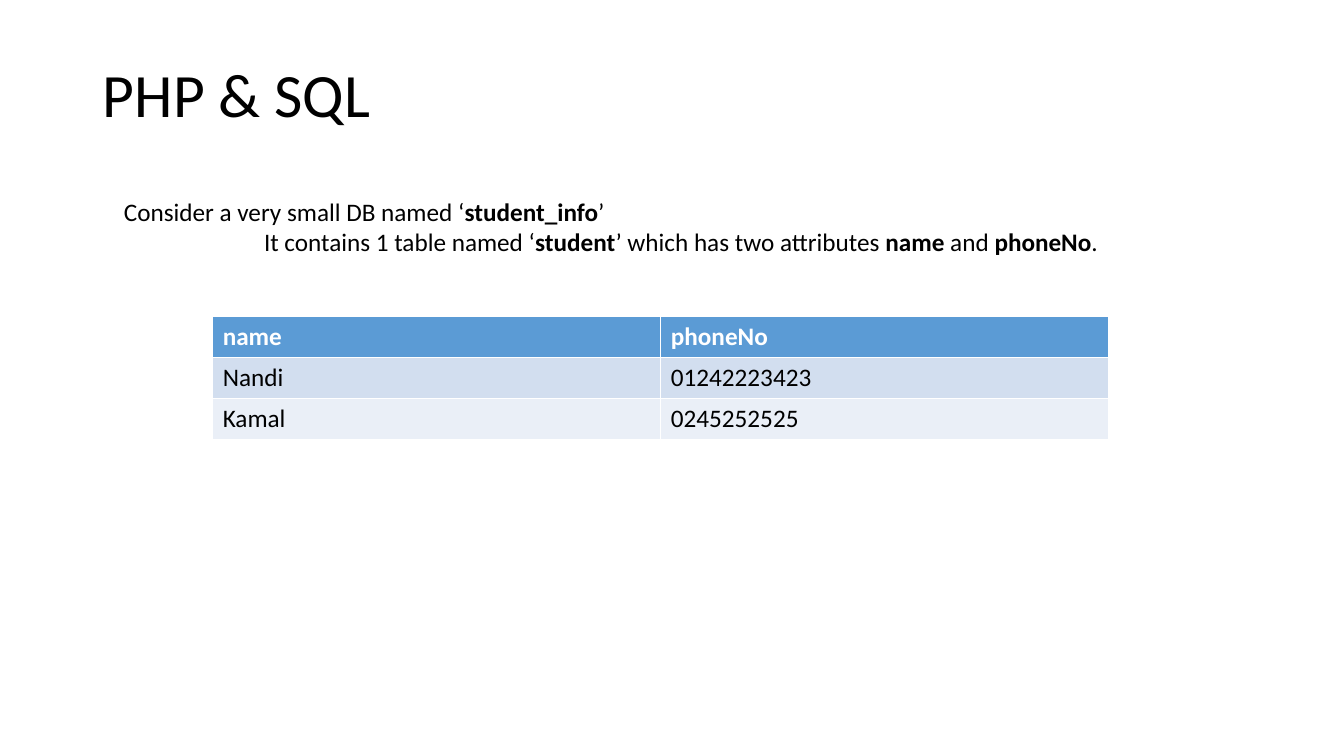
from pptx import Presentation
from pptx.dml.color import RGBColor
from pptx.enum.text import MSO_ANCHOR, PP_ALIGN
from pptx.util import Inches, Pt

BLACK, WHITE = "000000", "FFFFFF"
HEADER_FILL = "5B9BD5"
BAND_FILLS = ["D2DEEF", "EAEFF7"]
INTRO = [
    (0, [("Consider a very small DB named ‘", False), ("student_info", True), ("’", False)]),
    (1.39, [("It contains 1 table named ‘", False), ("student", True),
            ("’ which has two attributes ", False), ("name", True),
            (" and ", False), ("phoneNo", True), (".", False)]),
]
STUDENTS = [
    ("name", "phoneNo"),
    ("Nandi", "01242223423"),
    ("Kamal", "0245252525"),
]


def color(value):
    return RGBColor.from_string(value)


def add_span(para, text, size=18, bold=False, ink=BLACK):
    span = para.add_run()
    span.text = text
    span.font.color.rgb = color(ink)
    for name, value in {"name": "Calibri", "size": Pt(size), "bold": bold}.items():
        setattr(span.font, name, value)


def place_title(page, left, top, width, height):
    title = page.shapes.title
    places = {"left": left, "top": top, "width": width, "height": height}
    for name, value in places.items():
        setattr(title, name, Inches(value))
    title.text_frame.vertical_anchor = MSO_ANCHOR.MIDDLE
    para = title.text_frame.paragraphs[0]
    for name, value in {"alignment": PP_ALIGN.LEFT, "line_spacing": 0.9}.items():
        setattr(para, name, value)
    add_span(para, "PHP & SQL", size=44)


def add_intro(page, left, top, width, height):
    box = page.shapes.add_textbox(*map(Inches, (left, top, width, height)))
    frame = box.text_frame
    frame.word_wrap = True
    for index, (indent, spans) in enumerate(INTRO):
        para = frame.add_paragraph() if index else frame.paragraphs[0]
        para._p.get_or_add_pPr().set("marL", str(Inches(indent)))
        for text, bold in spans:
            add_span(para, text, bold=bold)


def add_student_table(page, left, top, width, height):
    table = page.shapes.add_table(
        len(STUDENTS), len(STUDENTS[0]), *map(Inches, (left, top, width, height))
    ).table
    for row, values in enumerate(STUDENTS):
        header = row == 0
        fill = HEADER_FILL if header else BAND_FILLS[(row - 1) % 2]
        for column, text in enumerate(values):
            cell = table.cell(row, column)
            cell.fill.solid()
            cell.fill.fore_color.rgb = color(fill)
            add_span(cell.text_frame.paragraphs[0], text, bold=header,
                     ink=WHITE if header else BLACK)


def main():
    deck = Presentation()
    deck.slide_width, deck.slide_height = Inches(13.33), Inches(7.5)
    page = deck.slides.add_slide(deck.slide_layouts[5])
    place_title(page, 0.92, 0.24, 11.5, 1.45)
    add_intro(page, 1.13, 1.9, 11.12, 1.01)
    add_student_table(page, 2.11, 3.14, 8.89, 1.22)
    deck.save("out.pptx")


if __name__ == "__main__":
    main()
